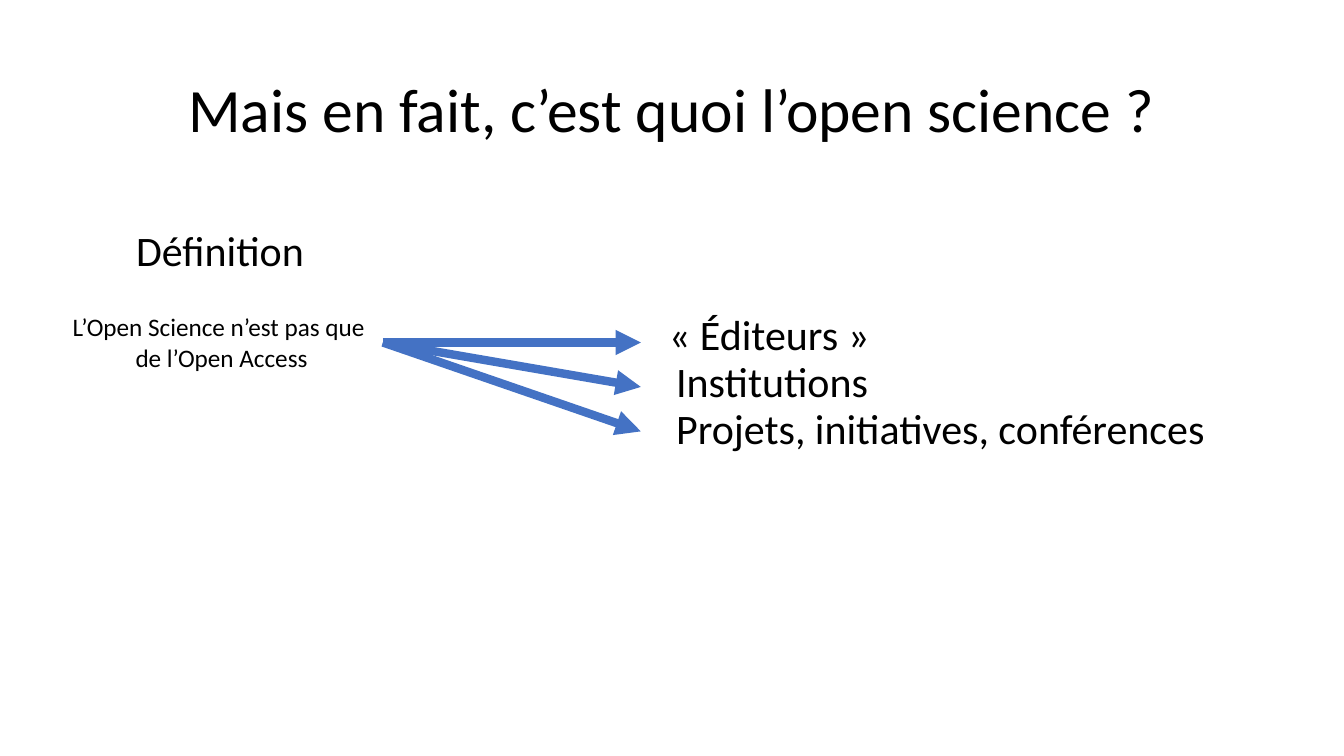
"""Build the slide that introduces what open science is."""
from lxml.etree import SubElement
from pptx import Presentation
from pptx.dml.color import RGBColor
from pptx.enum.shapes import MSO_CONNECTOR as Connector
from pptx.enum.text import MSO_ANCHOR as Anchor, MSO_AUTO_SIZE as AutoSize, PP_ALIGN as Align
from pptx.oxml.ns import qn
from pptx.util import Cm, Pt


def color(value):
    return RGBColor.from_string(value)


def write(frame, text, size, align):
    frame.text = text
    para = frame.paragraphs[0]
    para.alignment = align
    para.font.name = "Calibri"
    para.font.size = Pt(size)
    para.font.color.rgb = color("000000")
    return para


deck = Presentation()
deck.slide_width, deck.slide_height = Cm(33.87), Cm(19.05)
page = deck.slides.add_slide(deck.slide_layouts[5])

title = page.shapes.title
title.left, title.top, title.width, title.height = Cm(2.33), Cm(1), Cm(29.21), Cm(3.68)
title.text_frame.vertical_anchor = Anchor.MIDDLE
heading = write(title.text_frame, "Mais en fait, c’est quoi l’open science ?", 44, Align.CENTER)
heading.line_spacing = 0.9

labels = [
    ("Définition", 3.18, 5.54, 4.8, 1.54, 30, Align.LEFT),
    ("« Éditeurs »", 16.61, 7.65, 5.61, 1.54, 30, Align.LEFT),
    ("Institutions", 16.79, 8.84, 5.41, 1.54, 30, Align.LEFT),
    ("Projets, initiatives, conférences", 16.79, 10.03, 13.97, 1.54, 30, Align.LEFT),
    ("L’Open Science n’est pas que \vde l’Open Access", 1.52, 7.73, 8.13, 1.8, 18, Align.CENTER),
]
for text, left, top, width, height, size, align in labels:
    box = page.shapes.add_textbox(Cm(left), Cm(top), Cm(width), Cm(height))
    box.text_frame.word_wrap = False
    box.text_frame.auto_size = AutoSize.SHAPE_TO_FIT_TEXT
    write(box.text_frame, text, size, align)
    if size == 18:
        statement = box

start_x, start_y, end_x, drop = 9.65, 8.63, 16.15, 1.12
for index in range(3):
    arrow = page.shapes.add_connector(
        Connector.STRAIGHT, Cm(start_x), Cm(start_y), Cm(end_x), Cm(start_y + index * drop))
    arrow.begin_connect(statement, 3)
    arrow.line.color.rgb = color("4472C4")
    arrow.line.width = Pt(6)
    SubElement(arrow.line._get_or_add_ln(), qn("a:tailEnd"), type="triangle")
    SubElement(arrow._element.spPr, qn("a:effectLst"))

deck.save("out.pptx")
